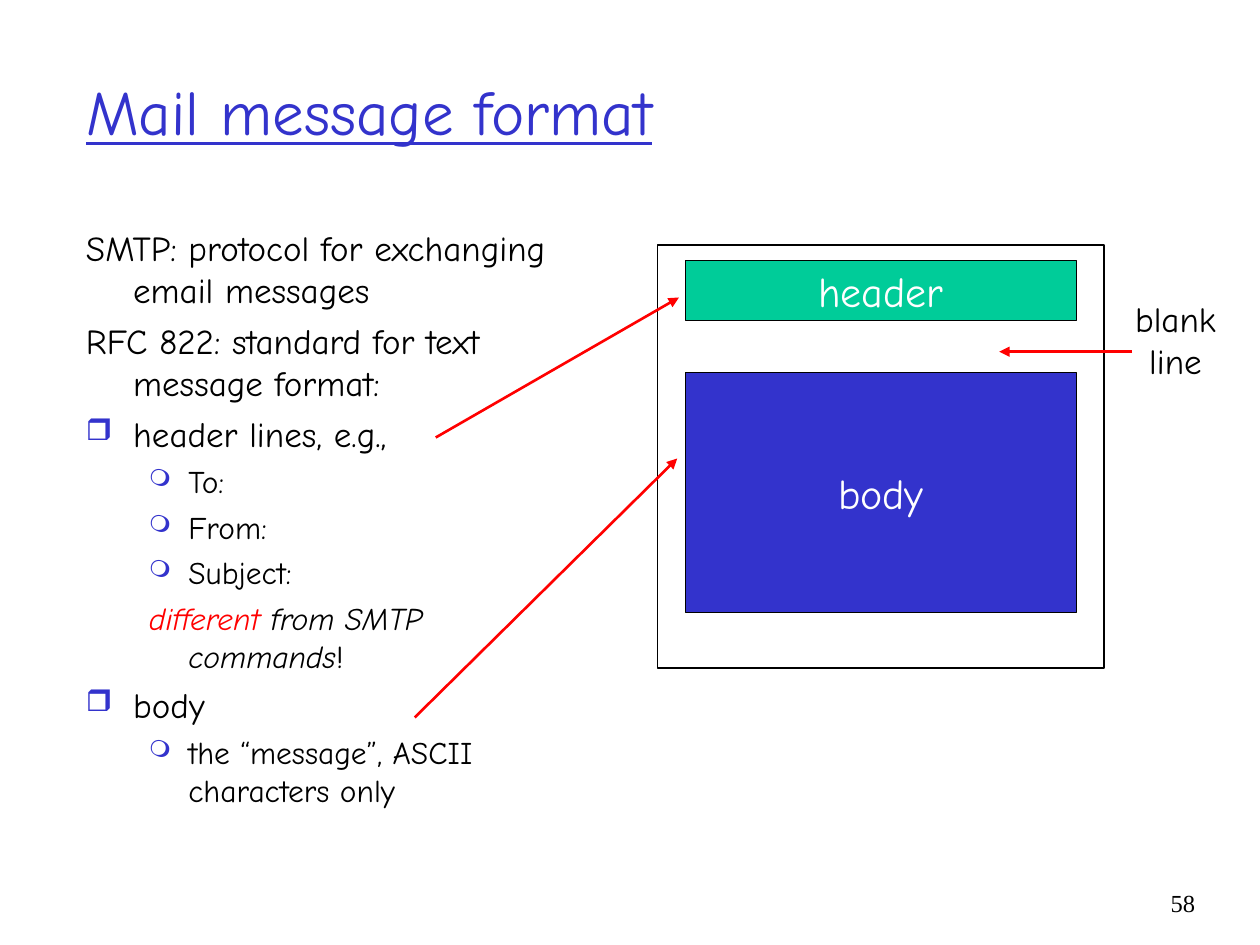
from dataclasses import dataclass
from typing import Optional

from lxml import etree
from pptx import Presentation
from pptx.dml.color import RGBColor
from pptx.enum.shapes import MSO_CONNECTOR, MSO_SHAPE
from pptx.enum.text import MSO_ANCHOR, MSO_AUTO_SIZE, PP_ALIGN
from pptx.oxml.ns import qn
from pptx.util import Pt

LEFT, CENTER, RIGHT = PP_ALIGN.LEFT, PP_ALIGN.CENTER, PP_ALIGN.RIGHT
TOP, MIDDLE = MSO_ANCHOR.TOP, MSO_ANCHOR.MIDDLE
RECT, STRAIGHT = MSO_SHAPE.RECTANGLE, MSO_CONNECTOR.STRAIGHT
FIXED = MSO_AUTO_SIZE.NONE

BLUE = RGBColor(0x33, 0x33, 0xCC)
GREEN = RGBColor(0x00, 0xCC, 0x99)
RED = RGBColor(0xFF, 0x00, 0x00)
BLACK = RGBColor(0x00, 0x00, 0x00)
WHITE = RGBColor(0xFF, 0xFF, 0xFF)
COMIC, TIMES = "Comic Neue", "Times New Roman"


@dataclass
class Box:
    left: float
    top: float
    width: float
    height: float
    fill: Optional[RGBColor] = None
    weight: float = 0.75
    text: str = ""


@dataclass
class Arrow:
    start: tuple[float, float]
    end: tuple[float, float]


@dataclass
class Level:
    depth: int
    size: float
    margin: float
    hang: float
    before: float
    mark: str
    scale: int


@dataclass
class Item:
    level: Level
    runs: list[tuple[str, RGBColor, bool]]
    marked: bool = True


MAIN = Level(0, 20, 27, 27, 5, "❒", 85)
SUB = Level(1, 18, 58.5, 22.5, 4.5, "❍", 75)


def plain(level: Level, text: str, marked: bool = True) -> Item:
    return Item(level, [(text, BLACK, False)], marked)


ITEMS = [
    plain(MAIN, "SMTP: protocol for exchanging email messages", False),
    plain(MAIN, "RFC 822: standard for text message format:", False),
    plain(MAIN, "header lines, e.g.,"),
    plain(SUB, "To:"),
    plain(SUB, "From:"),
    plain(SUB, "Subject:"),
    Item(SUB, [("different ", RED, True), ("from SMTP commands", BLACK, True),
               ("!", BLACK, False)], False),
    plain(MAIN, "body"),
    plain(SUB, "the “message”, ASCII characters only"),
]
BOXES = [
    Box(391.8, 149, 223.2, 34, GREEN, text="header"),
    Box(391.8, 213, 223.2, 137, BLUE, text="body"),
    Box(375.8, 139.8, 255, 242, weight=1),
]
ARROWS = [
    Arrow((249, 250), (388, 170)),
    Arrow((237, 410), (387, 262)),
    Arrow((647, 201), (571, 201)),
]


def write(para, text: str, *, size: float, color: RGBColor = BLACK,
          font: str = COMIC, align=LEFT, italic: bool = False,
          under: bool = False) -> None:
    para.alignment = align
    run = para.add_run()
    run.text = text
    face = run.font
    face.name, face.size = font, Pt(size)
    face.italic, face.underline = italic, under
    face.color.rgb = color


def place(shape, left: float, top: float, width: float, height: float) -> None:
    shape.left, shape.top = Pt(left), Pt(top)
    shape.width, shape.height = Pt(width), Pt(height)


def set_frame(shape, wrap: bool = True, anchor=TOP):
    frame = shape.text_frame
    frame.auto_size = FIXED
    frame.word_wrap, frame.vertical_anchor = wrap, anchor
    return frame


def add_text(slide, left: float, top: float, width: float, height: float,
             wrap: bool = True):
    box = slide.shapes.add_textbox(Pt(left), Pt(top), Pt(width), Pt(height))
    return set_frame(box, wrap)


def next_para(frame, index: int):
    return frame.add_paragraph() if index else frame.paragraphs[0]


def draw_item(para, item: Item) -> None:
    level = item.level
    para.level, para.space_before = level.depth, Pt(level.before)
    for text, color, italic in item.runs:
        write(para, text, size=level.size, color=color, italic=italic)
    props = para._p.get_or_add_pPr()
    props.set("marL", str(Pt(level.margin)))
    props.set("indent", str(-Pt(level.hang)))
    if not item.marked:
        etree.SubElement(props, qn("a:buNone"))
        return
    tint = etree.SubElement(props, qn("a:buClr"))
    etree.SubElement(tint, qn("a:srgbClr"), val=str(BLUE))
    etree.SubElement(props, qn("a:buSzPct"), val=str(level.scale * 1000))
    etree.SubElement(props, qn("a:buChar"), char=level.mark)


def draw_box(slide, box: Box) -> None:
    shape = slide.shapes.add_shape(RECT, Pt(box.left), Pt(box.top),
                                   Pt(box.width), Pt(box.height))
    shape.shadow.inherit = False
    if box.fill is None:
        shape.fill.background()
    else:
        shape.fill.solid()
        shape.fill.fore_color.rgb = box.fill
    shape.line.color.rgb, shape.line.width = BLACK, Pt(box.weight)
    if box.text:
        frame = set_frame(shape, False, MIDDLE)
        write(frame.paragraphs[0], box.text, size=24, color=WHITE, align=CENTER)


def draw_arrow(slide, arrow: Arrow) -> None:
    ends = [Pt(value) for value in (*arrow.start, *arrow.end)]
    link = slide.shapes.add_connector(STRAIGHT, *ends)
    link.line.color.rgb, link.line.width = RED, Pt(1.5)
    etree.SubElement(link.line._get_or_add_ln(), qn("a:tailEnd"), type="triangle")
    etree.SubElement(link._element.spPr, qn("a:effectLst"))


def main() -> None:
    deck = Presentation()
    deck.slide_width, deck.slide_height = Pt(720), Pt(540)
    slide = deck.slides.add_slide(deck.slide_layouts[5])

    title = slide.shapes.title
    place(title, 42, 18, 612, 90)
    write(set_frame(title, anchor=MIDDLE).paragraphs[0], "Mail message format",
          size=36, color=BLUE, under=True)

    notes = add_text(slide, 42, 126, 300, 366)
    for index, item in enumerate(ITEMS):
        draw_item(next_para(notes, index), item)

    for box in BOXES:
        draw_box(slide, box)
    for arrow in ARROWS:
        draw_arrow(slide, arrow)

    label = add_text(slide, 641.5, 166.5, 60.5, 55.5, wrap=False)
    for index, word in enumerate(("blank", "line")):
        write(next_para(label, index), word, size=20, align=CENTER)

    number = add_text(slide, 654, 504, 36, 36)
    write(number.paragraphs[0], "58", size=14, font=TIMES, align=RIGHT)
    deck.save("out.pptx")


if __name__ == "__main__":
    main()
